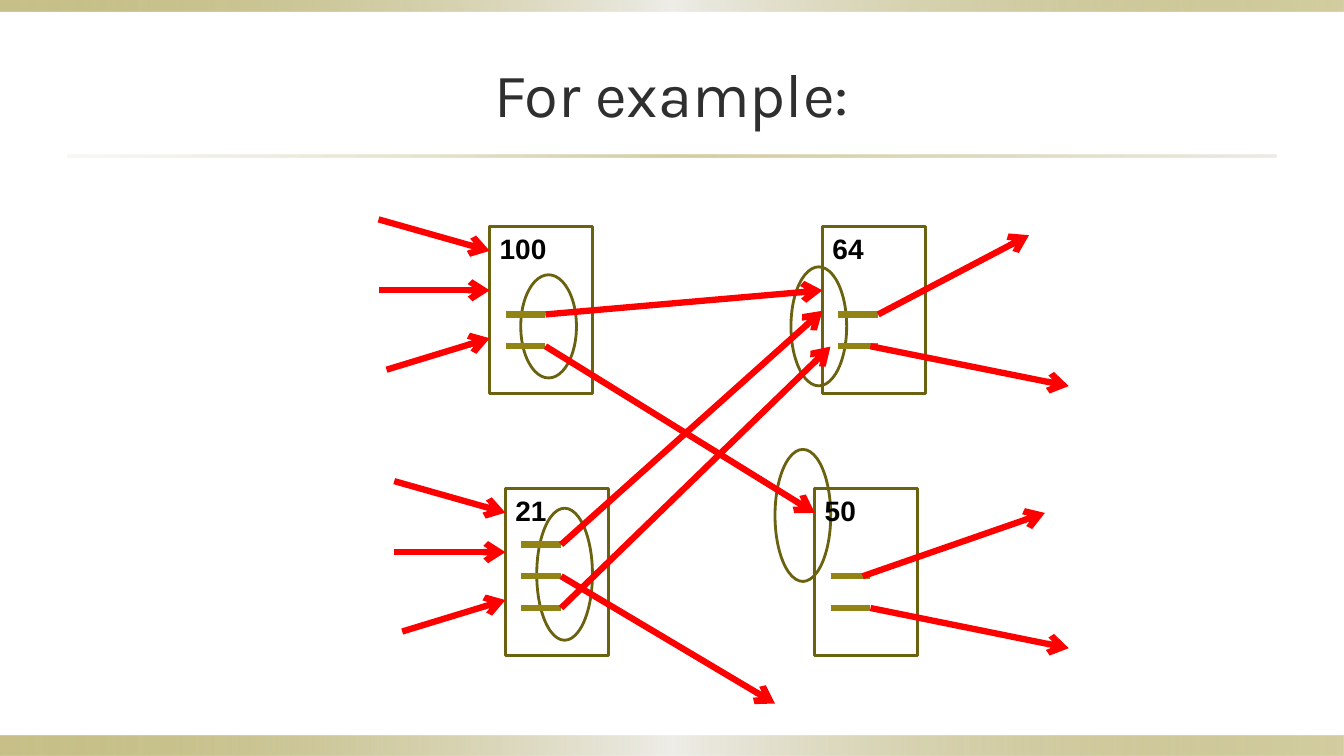
from lxml import etree
from pptx import Presentation
from pptx.dml.color import RGBColor
from pptx.enum.shapes import MSO_CONNECTOR, MSO_SHAPE
from pptx.enum.text import MSO_ANCHOR, MSO_AUTO_SIZE, PP_ALIGN
from pptx.oxml.ns import qn
from pptx.util import Pt

TITLE = "For example:"
OLIVE, DARK_OLIVE, RED = "918415", "6B6210", "FF0000"

# Gradient bars: left, top, width, height, stops (position %, colour, opacity %)
BAND_STOPS = [(0, OLIVE, 50), (50, "EEEDE8", 100), (100, OLIVE, 40)]
RULE_STOPS = [(0, "DCD9CC", 20), (50, OLIVE, 40), (100, "DCD9CC", 50)]
BARS = [
    (0, 525.6, 960, 14.4, BAND_STOPS),
    (0, 0, 960, 8.5, BAND_STOPS),
    (48, 110.6, 864, 1.7, RULE_STOPS),
]

# Ovals around groups of links: left, top, width, height
OVALS = [
    (372, 196.3, 39.8, 73.7),
    (565, 190.6, 39.8, 85),
    (383.4, 363, 39.8, 94.3),
    (553.6, 321, 39.8, 94.3),
]

# Pages: score, left, top, has incoming arrows,
# links (height of the dash in the page, arrow start shift, arrow end)
ROW_1, ROW_2 = 162, 349
PAGES = [
    ("100", 349.8, ROW_1, True, [(62.6, 0, (587.5, 207.4)),
                                 (85.3, 0, (582, 366.4))]),
    ("21", 361, ROW_2, True, [(40, 0, (587.5, 222)),
                              (62.6, 0, (553.6, 502.5)),
                              (85.3, 0, (593.2, 247.6))]),
    ("64", 587.5, ROW_1, False, [(62.6, 0, (735, 168)),
                                 (85.3, -5.6, (763.4, 275.8))]),
    ("50", 582, ROW_2, False, [(62.6, -5.6, (746.4, 366.4)),
                               (85.3, 0, (763.4, 463))]),
]
PAGE_W, PAGE_H = 73.7, 119
DASH_INDENT, DASH_W = 11.4, 28.4
# Incoming arrows, measured from the page's top left corner: start, end
INCOMING = [((-79.4, -5.3), (0, 17.2)),
            ((-79.4, 45.4), (0, 45.4)),
            ((-73.7, 102.1), (0, 79.6))]


def rgb(color):
    return RGBColor.from_string(color)


def add_gradient_bar(x, y, w, h, stops):
    s = slide.shapes.add_shape(MSO_SHAPE.RECTANGLE, Pt(x), Pt(y), Pt(w), Pt(h))
    s.shadow.inherit = False
    s.line.fill.background()
    s.fill.gradient()
    s.fill.gradient_angle = 0
    gs_list = s.element.spPr.find(qn("a:gradFill")).find(qn("a:gsLst"))
    for gs in list(gs_list):
        gs_list.remove(gs)
    for pos, color, opacity in stops:
        gs = etree.SubElement(gs_list, qn("a:gs"), pos=str(pos * 1000))
        clr = etree.SubElement(gs, qn("a:srgbClr"), val=color)
        etree.SubElement(clr, qn("a:alpha"), val=str(opacity * 1000))


def add_outline(kind, x, y, w, h):
    s = slide.shapes.add_shape(kind, Pt(x), Pt(y), Pt(w), Pt(h))
    s.shadow.inherit = False
    s.fill.background()
    s.line.color.rgb = rgb(DARK_OLIVE)
    s.line.width = Pt(2)


def add_line(start, end, color, arrow=False):
    c = slide.shapes.add_connector(MSO_CONNECTOR.STRAIGHT,
                                   *(Pt(v) for v in (*start, *end)))
    c.line.color.rgb = rgb(color)
    c.line.width = Pt(4.5)
    if arrow:
        etree.SubElement(c.line._get_or_add_ln(), qn("a:tailEnd"), type="arrow")
    etree.SubElement(c.element.spPr, qn("a:effectLst"))


def add_score(text, x, y):
    width = 14.4 + 11.12 * len(text)
    s = slide.shapes.add_textbox(Pt(x), Pt(y), Pt(width), Pt(31.5))
    tf = s.text_frame
    tf.word_wrap = False
    tf.auto_size = MSO_AUTO_SIZE.SHAPE_TO_FIT_TEXT
    p = tf.paragraphs[0]
    p.text = text
    p.font.name, p.font.size, p.font.bold = "Arial", Pt(20), True
    p.font.color.rgb = rgb("000000")


prs = Presentation()
prs.slide_width, prs.slide_height = Pt(960), Pt(540)
slide = prs.slides.add_slide(prs.slide_layouts[5])

# Title
title = slide.shapes.title
title.left, title.top, title.width, title.height = Pt(48), Pt(21.6), Pt(864), Pt(90)
title.text_frame.vertical_anchor = MSO_ANCHOR.MIDDLE
p = title.text_frame.paragraphs[0]
p.text = TITLE
p.alignment = PP_ALIGN.CENTER
p.font.name, p.font.size = "Karla", Pt(44)
p.font.color.rgb = rgb("2F2F2F")

# Bands and ovals
for bar in BARS:
    add_gradient_bar(*bar)
for oval in OVALS:
    add_outline(MSO_SHAPE.OVAL, *oval)

# Pages with their dashes, scores and incoming arrows
for score, x, y, has_incoming, links in PAGES:
    add_outline(MSO_SHAPE.RECTANGLE, x, y, PAGE_W, PAGE_H)
    for dy, _, _ in links:
        left = x + DASH_INDENT
        add_line((left, y + dy), (left + DASH_W, y + dy), OLIVE)
    for (x1, y1), (x2, y2) in INCOMING if has_incoming else []:
        add_line((x + x1, y + y1), (x + x2, y + y2), RED, arrow=True)
    add_score(score, x, y)

# Outgoing arrows start at the right end of each dash
for _, x, y, _, links in PAGES:
    for dy, shift, target in links:
        start = (x + DASH_INDENT + DASH_W + shift, y + dy)
        add_line(start, target, RED, arrow=True)

prs.save("out.pptx")
